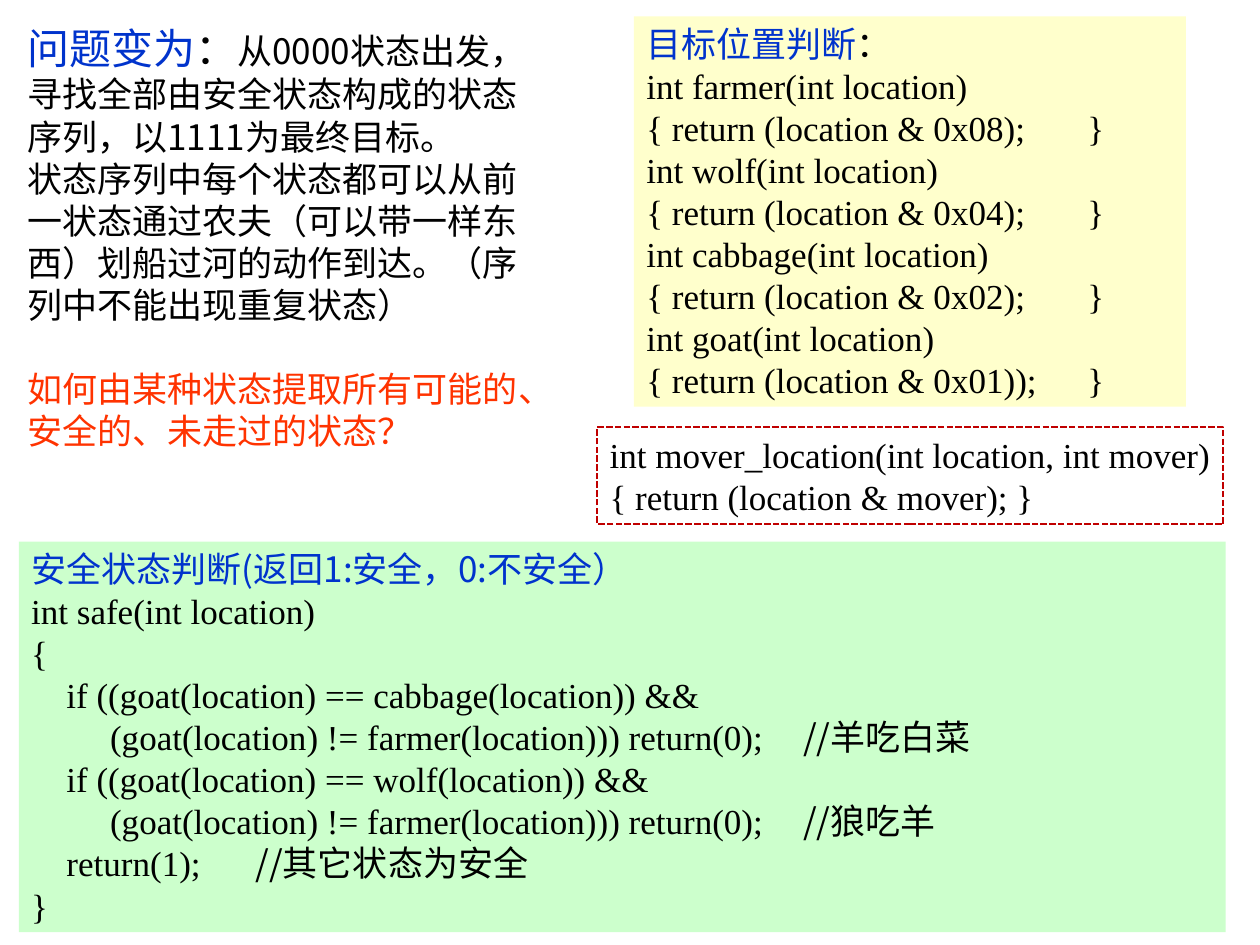
from dataclasses import dataclass
from typing import Optional

import pptx
import pptx.dml.color
import pptx.enum.dml
import pptx.enum.shapes
import pptx.enum.text
import pptx.util
from pptx.util import Cm, Pt

LATIN = "Times New Roman"
CHINESE = "Noto Sans CJK SC"
BLUE, BLACK, ORANGE = "0033CC", "000000", "FF3300"


@dataclass
class Run:
    text: str
    font: str = LATIN
    color: str = BLACK
    size: float = 20


@dataclass
class Line:
    runs: list[Run]
    indent: float = 0
    space_before: float = 0
    tab: Optional[float] = None


@dataclass
class Panel:
    left: float
    top: float
    width: float
    height: float
    lines: list[Line]
    fill: Optional[str] = None
    border: Optional[str] = None
    wrap: bool = True


def rgb(color: str) -> pptx.dml.color.RGBColor:
    return pptx.dml.color.RGBColor.from_string(color)


def add_text(paragraph, text: str, *, font: str, color: str, size: float) -> None:
    run = paragraph.add_run()
    run.text = text
    run.font.name = font
    run.font.size = Pt(size)
    run.font.color.rgb = rgb(color)
    east_asian = run._r.get_or_add_rPr().makeelement(pptx.oxml.ns.qn("a:ea"), {"typeface": CHINESE})
    run._r.rPr.append(east_asian)


def format_line(paragraph, line: Line) -> None:
    paragraph.alignment = pptx.enum.text.PP_ALIGN.LEFT
    paragraph.space_before = Pt(line.space_before)
    properties = paragraph._p.get_or_add_pPr()
    properties.set("marL", str(Cm(line.indent)))
    properties.set("indent", "0")
    if line.tab is not None:
        tab_list = pptx.oxml.parse_xml(
            f'<a:tabLst {pptx.oxml.ns.nsdecls("a")}><a:tab pos="{Cm(line.tab)}" algn="l"/></a:tabLst>')
        properties.append(tab_list)


def add_panel(slide, panel: Panel) -> None:
    shape = slide.shapes.add_shape(
        pptx.enum.shapes.MSO_SHAPE.RECTANGLE,
        Cm(panel.left), Cm(panel.top), Cm(panel.width), Cm(panel.height))
    shape.shadow.inherit = False
    if panel.fill:
        shape.fill.solid()
        shape.fill.fore_color.rgb = rgb(panel.fill)
    else:
        shape.fill.background()
    if panel.border:
        shape.line.color.rgb = rgb(panel.border)
        shape.line.width = Pt(1.25)
        shape.line.dash_style = pptx.enum.dml.MSO_LINE.SQUARE_DOT
    else:
        shape.line.fill.background()

    frame = shape.text_frame
    frame.word_wrap = panel.wrap
    frame.auto_size = pptx.enum.text.MSO_AUTO_SIZE.SHAPE_TO_FIT_TEXT
    frame.vertical_anchor = pptx.enum.text.MSO_ANCHOR.TOP
    for index, line in enumerate(panel.lines):
        paragraph = frame.add_paragraph() if index else frame.paragraphs[0]
        format_line(paragraph, line)
        for run in line.runs:
            add_text(paragraph, run.text, font=run.font, color=run.color, size=run.size)


def code(text: str, comment: str = "", **layout: float) -> Line:
    runs = [Run(text)]
    if comment:
        runs.append(Run(comment, CHINESE))
    return Line(runs, **layout)


def location_functions() -> list[Line]:
    """One bit test for each passenger."""
    tests = [("farmer", "0x08)"), ("wolf", "0x04)"), ("cabbage", "0x02)"), ("goat", "0x01))")]
    lines = []
    for name, mask in tests:
        lines.append(code(f"int {name}(int location)"))
        lines.append(code(f"{{ return (location & {mask};\t}}", tab=10.16))
    return lines


def danger_check(eater: str, comment: str, tab: float) -> list[Line]:
    return [
        code(f"if ((goat(location) == {eater}(location)) &&", indent=0.71),
        code("(goat(location) != farmer(location))) return(0);\t", comment, indent=1.59, tab=tab),
    ]


PANELS = [
    Panel(12.78, 0.33, 11.13, 7.87, fill="FFFFCC", lines=[
        Line([Run("目标位置判断", color=BLUE), Run("：")]),
        *location_functions(),
    ]),
    Panel(0.38, 10.92, 24.33, 7.87, fill="CCFFCC", lines=[
        Line([Run("安全状态判断(返回1:安全，0:不安全）", CHINESE, BLUE)]),
        code("int safe(int location)"),
        code("{"),
        *danger_check("cabbage", "//羊吃白菜", 15.3),
        *danger_check("wolf", "//狼吃羊", 15.6),
        code("return(1);\t", "//其它状态为安全", indent=0.71, tab=5.08),
        code("}"),
    ]),
    Panel(0.3, 0.33, 10.97, 8.89, fill="FFFFFF", lines=[
        Line([Run("问题变为", color=BLUE, size=24), Run("：", size=24),
              Run("从0000状态出发，寻找全部由安全状态构成的状态序列，以1111为最终目标。", CHINESE)]),
        Line([Run("状态序列中每个状态都可以从前一状态通过农夫（可以带一样东西）"
                  "划船过河的动作到达。（序列中不能出现重复状态）", CHINESE)]),
        Line([Run("如何由某种状态提取所有可能的、安全的、未走过的状态？", CHINESE, ORANGE)],
             space_before=24),
    ]),
    Panel(12.04, 8.61, 12.62, 1.96, border="C00000", wrap=False, lines=[
        code("int mover_location(int location, int mover)"),
        code("{ return (location & mover); }"),
    ]),
]


def main() -> None:
    presentation = pptx.Presentation()
    presentation.slide_width, presentation.slide_height = Cm(25.4), Cm(19.05)
    slide = presentation.slides.add_slide(presentation.slide_layouts[6])
    for panel in PANELS:
        add_panel(slide, panel)
    presentation.save("out.pptx")


if __name__ == "__main__":
    main()
